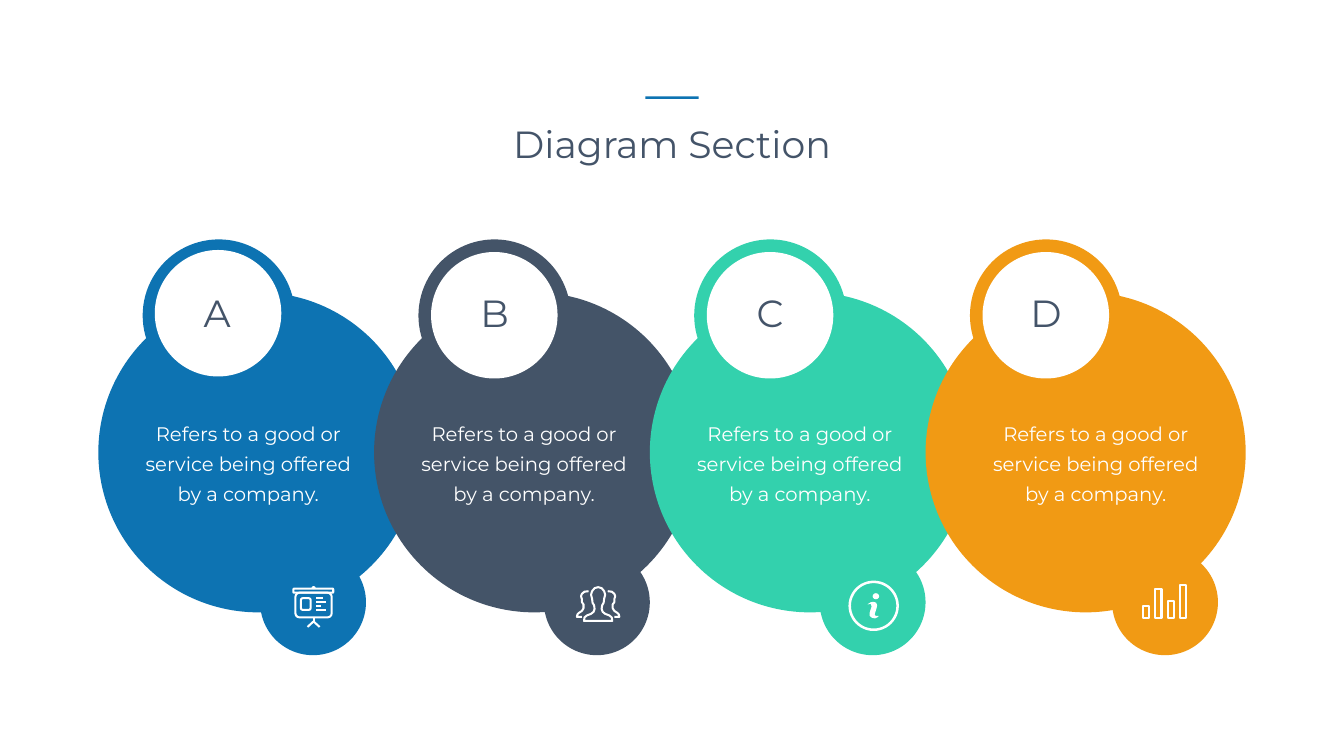
"""Build the Diagram Section slide: four overlapping lettered circles with icons."""
import pptx
import pptx.dml.color
import pptx.enum.shapes
import pptx.enum.text
import pptx.util

WIDTH, HEIGHT = 26.66, 15
FONT = "Montserrat"
COLORS = {"blue": "0D73B2", "slate": "445468", "green": "33D1AD",
          "orange": "F19A14", "white": "FFFFFF", "ink": "445469"}
TITLE = "Diagram Section"
BODY = "Refers to a good or service being offered by a company."
SECTIONS = [
    {"letter": "A", "color": "blue", "disc": (1.12, 4.96), "letter_x": 1.37, "text_x": 0.48, "badge_x": 3.21},
    {"letter": "B", "color": "slate", "disc": (1.13, 5), "letter_x": 1.4, "text_x": 0.48, "badge_x": 3.37},
    {"letter": "C", "color": "green", "disc": (1.13, 5), "letter_x": 1.4, "text_x": 0.48, "badge_x": 3.37},
    {"letter": "D", "color": "orange", "disc": (1.13, 5), "letter_x": 1.4, "text_x": 0.88, "badge_x": 3.7},
]
FIRST_COLUMN, COLUMN_STEP = 1.95, 5.47
BIG, RING, DISC, BADGE = 6.35, 3.02, 2.51, 2.1
BIG_TOP, RING_TOP, BADGE_TOP = 5.8, 4.75, 10.9
STROKE = 0.04

HEAD_HALF = [(-0.28, 0.69), (-0.27, 0.62), (-0.22, 0.58), (-0.14, 0.55), (-0.09, 0.51),
             (-0.07, 0.45), (-0.08, 0.38), (-0.11, 0.33), (-0.12, 0.25), (-0.14, 0.17),
             (-0.12, 0.1), (-0.07, 0.04), (0, 0.02)]
NEIGHBOUR = [(-0.19, 0.1), (-0.27, 0.11), (-0.32, 0.15), (-0.34, 0.2), (-0.32, 0.26),
             (-0.32, 0.32), (-0.29, 0.36), (-0.29, 0.44), (-0.32, 0.49), (-0.38, 0.53),
             (-0.41, 0.56), (-0.42, 0.61), (-0.32, 0.61)]
INFO_STEM = [(0.38, 0.47), (0.44, 0.43), (0.5, 0.42), (0.55, 0.44), (0.57, 0.49),
             (0.56, 0.54), (0.52, 0.67), (0.54, 0.7), (0.6, 0.7), (0.59, 0.72),
             (0.53, 0.75), (0.47, 0.74), (0.42, 0.7), (0.42, 0.64), (0.46, 0.51),
             (0.44, 0.46), (0.4, 0.47)]
BAR_HEIGHTS = [0.28, 0.63, 0.39, 0.71]
BOARD_LINES = [(0.47, 0.24, 0.6), (0.47, 0.32, 0.67), (0.47, 0.39, 0.56), (0.47, 0.47, 0.67)]
BOARD_FRAMES = [(0, 0.03, 0.83, 0.12), (0.04, 0.11, 0.76, 0.53), (0.15, 0.22, 0.23, 0.27)]
BOARD_LEGS = [(0.3, 0.81), (0.42, 0.7), (0.54, 0.81)]


def inches(*values):
    return [pptx.util.Inches(value) for value in values]


def rgb(name):
    return pptx.dml.color.RGBColor.from_string(COLORS[name])


def paint(shape, fill=None, line=None, stroke=STROKE):
    shape.shadow.inherit = False
    if fill:
        shape.fill.solid()
        shape.fill.fore_color.rgb = rgb(fill)
    else:
        shape.fill.background()
    if line:
        shape.line.color.rgb = rgb(line)
        shape.line.width = pptx.util.Inches(stroke)
    else:
        shape.line.fill.background()
    return shape


def add_preset(shapes, kind, box, **style):
    preset = getattr(pptx.enum.shapes.MSO_SHAPE, kind)
    return paint(shapes.add_shape(preset, *inches(*box)), **style)


def add_frame(shapes, left, top, width, height, kind="RECTANGLE", stroke=STROKE):
    box = (left + stroke / 2, top + stroke / 2, width - stroke, height - stroke)
    return add_preset(shapes, kind, box, line="white", stroke=stroke)


def add_path(shapes, left, top, points, close=False, **style):
    corners = [inches(left + x, top + y) for x, y in points]
    builder = shapes.build_freeform(*corners[0])
    builder.add_line_segments(corners[1:], close=close)
    return paint(builder.convert_to_shape(), **style)


def add_text(shapes, text, box, size, color, margins=(0.1, 0.05), spacing=None):
    frame = shapes.add_textbox(*inches(*box)).text_frame
    frame.word_wrap = True
    frame.auto_size = pptx.enum.text.MSO_AUTO_SIZE.SHAPE_TO_FIT_TEXT
    frame.margin_left = frame.margin_right = pptx.util.Inches(margins[0])
    frame.margin_top = frame.margin_bottom = pptx.util.Inches(margins[1])
    paragraph = frame.paragraphs[0]
    paragraph.text = text
    paragraph.alignment = pptx.enum.text.PP_ALIGN.CENTER
    if spacing:
        paragraph.line_spacing = pptx.util.Pt(spacing)
    paragraph.font.name = FONT
    paragraph.font.size = pptx.util.Pt(size)
    paragraph.font.color.rgb = rgb(color)


def mirror(points):
    return [(-x, y) for x, y in points]


def add_board_icon(shapes, left, top):
    for x, y, width, height in BOARD_FRAMES:
        add_frame(shapes, left + x, top + y, width, height, "ROUNDED_RECTANGLE")
    for x, y, end in BOARD_LINES:
        add_path(shapes, left, top, [(x, y), (end, y)], line="white")
    add_path(shapes, left, top, BOARD_LEGS, line="white")
    add_path(shapes, left, top, [(0.42, 0.64), (0.42, 0.7)], line="white")
    add_preset(shapes, "OVAL", (left + 0.38, top, 0.08, 0.06), fill="white")


def add_people_icon(shapes, left, top):
    center = left + 0.435
    add_path(shapes, center, top, HEAD_HALF + mirror(HEAD_HALF)[-2::-1], close=True, line="white")
    for side in (NEIGHBOUR, mirror(NEIGHBOUR)):
        add_path(shapes, center, top, side, line="white")


def add_info_icon(shapes, left, top):
    add_frame(shapes, left, top, 1, 1, "OVAL", 0.05)
    add_preset(shapes, "OVAL", (left + 0.48, top + 0.25, 0.13, 0.12), fill="white")
    add_path(shapes, left, top, INFO_STEM, close=True, fill="white")


def add_bars_icon(shapes, left, top):
    for index, height in enumerate(BAR_HEIGHTS):
        add_frame(shapes, left + index * 0.24, top + max(BAR_HEIGHTS) - height, 0.16, height)


def main():
    presentation = pptx.Presentation()
    presentation.slide_width, presentation.slide_height = inches(WIDTH, HEIGHT)
    shapes = presentation.slides.add_slide(presentation.slide_layouts[6]).shapes

    add_text(shapes, TITLE, ((WIDTH - 10.18) / 2, 2.34, 10.18, 1.01), 54, "ink")
    add_preset(shapes, "RECTANGLE", ((WIDTH - 1.06) / 2, 1.91, 1.06, 0.05), fill="blue")

    columns = [(FIRST_COLUMN + index * COLUMN_STEP, section) for index, section in enumerate(SECTIONS)]
    for x, section in columns:
        add_preset(shapes, "OVAL", (x, BIG_TOP, BIG, BIG), fill=section["color"])
    for x, section in columns:
        disc_x, disc_top = section["disc"]
        add_preset(shapes, "OVAL", (x + 0.88, RING_TOP, RING, RING), fill=section["color"])
        add_preset(shapes, "OVAL", (x + disc_x, disc_top, DISC, DISC), fill="white")
        add_preset(shapes, "OVAL", (x + section["badge_x"], BADGE_TOP, BADGE, BADGE),
                   fill=section["color"])
        add_text(shapes, BODY, (x + section["text_x"], 8.12, 4.99, 2), 28, "white", (0.24, 0.12), 43)
        add_text(shapes, section["letter"], (x + section["letter_x"], 5.7, 1.98, 1.01), 54, "ink")

    add_board_icon(shapes, 5.8, 11.63)
    add_people_icon(shapes, 11.43, 11.63)
    add_info_icon(shapes, 16.83, 11.52)
    add_bars_icon(shapes, 22.66, 11.58)
    presentation.save("out.pptx")


if __name__ == "__main__":
    main()
